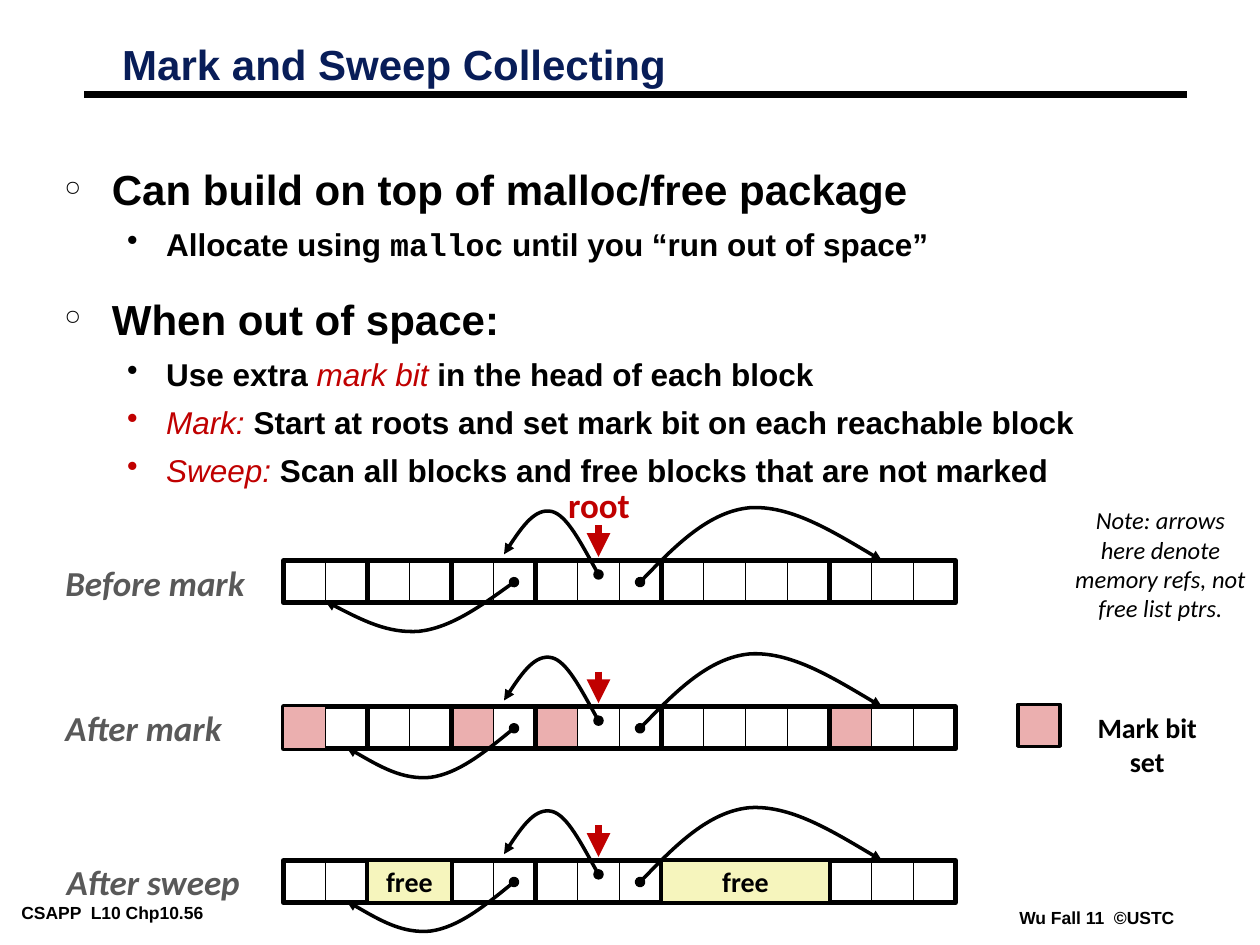
from itertools import accumulate

from pptx import Presentation
from pptx.dml.color import RGBColor
from pptx.enum import shapes as kinds, text as txt
from pptx.oxml import ns, xmlchemy
from pptx.util import Inches, Pt

BLACK, RED, GREY, NAVY = "000000", "C00000", "595959", "081D58"
PINK, YELLOW = "EBAFAF", "F6F5BD"
HEAP_LEFT, CELL = 2.25, 1 / 3
BLOCK_CELLS = [2, 2, 2, 3, 4, 3]
BLOCK_STARTS = [0, *accumulate(BLOCK_CELLS)][:-1]

ROOT_REF = [(4.75, 0.11), (4.62, -0.12), (4.5, -0.36), (4.38, -0.39),
            (4.25, -0.42), (4.12, -0.24), (4, -0.05)]
FORWARD_REF = [(5.08, 0.17), (5.35, -0.11), (5.63, -0.39), (5.95, -0.42),
               (6.27, -0.44), (6.63, -0.22), (7, 0)]
BACK_REF_START = 4.08
BACK_REF_DEPTHS = [0.17, 0.35, 0.53, 0.56, 0.58, 0.45, 0.32]

POINTS = [
    (0, BLACK, [("Can build on top of malloc/free package", "plain")]),
    (1, BLACK, [("Allocate using ", "plain"), ("malloc", "code"),
                (" until you “run out of space”", "plain")]),
    (0, BLACK, [("When out of space:", "plain")]),
    (1, BLACK, [("Use extra ", "plain"), ("mark bit ", "term"),
                ("in the head of each block", "plain")]),
    (1, RED, [("Mark:", "term"),
              (" Start at roots and set mark bit on each reachable block", "plain")]),
    (1, RED, [("Sweep:", "term"),
              (" Scan all blocks and free blocks that are not marked", "plain")]),
]


def rgb(value):
    return RGBColor.from_string(value)


def box(*lengths):
    return [Inches(length) for length in lengths]


def add_xml(parent, tag, **attributes):
    child = xmlchemy.OxmlElement(tag)
    for key, value in attributes.items():
        child.set(key, value)
    parent.append(child)
    return child


def style_run(run, size, color, font="Calibri", bold=True, italic=False):
    run.font.name = font
    run.font.size = Pt(size)
    run.font.bold = bold
    run.font.italic = italic
    run.font.color.rgb = rgb(color)


def add_label(shapes, place, words, size, color, wrap=False, align=None,
              margins=(0.1, 0.05), **style):
    label = shapes.add_textbox(*box(*place))
    frame = label.text_frame
    frame.text = words
    frame.word_wrap = wrap
    frame.auto_size = txt.MSO_AUTO_SIZE.SHAPE_TO_FIT_TEXT
    frame.margin_left = frame.margin_right = Inches(margins[0])
    frame.margin_top = frame.margin_bottom = Inches(margins[1])
    frame.paragraphs[0].alignment = align
    style_run(frame.paragraphs[0].runs[0], size, color, **style)


def add_rect(shapes, place, width, fill=None):
    rect = shapes.add_shape(kinds.MSO_SHAPE.RECTANGLE, *box(*place))
    rect.shadow.inherit = False
    if fill:
        rect.fill.solid()
        rect.fill.fore_color.rgb = rgb(fill)
    else:
        rect.fill.background()
    rect.line.color.rgb = rgb(BLACK)
    rect.line.width = Pt(width)
    return rect


def add_line(shapes, start, end, width, color=BLACK, arrow=False):
    line = shapes.add_connector(kinds.MSO_CONNECTOR.STRAIGHT, *box(*start, *end))
    line.line.color.rgb = rgb(color)
    line.line.width = Pt(width)
    if arrow:
        add_xml(line.line._get_or_add_ln(), "a:tailEnd", type="triangle")
    add_xml(line._element.spPr, "a:effectLst")
    return line


def add_reference(shapes, points):
    emu = [tuple(box(*point)) for point in points]
    builder = shapes.build_freeform(*emu[0])
    builder.add_line_segments(emu[1:], close=False)
    curve = builder.convert_to_shape()
    outline = curve._element.find(".//" + ns.qn("a:path"))
    segments = outline.findall(ns.qn("a:lnTo"))
    for first in range(0, len(segments), 3):
        bezier = add_xml(outline, "a:cubicBezTo")
        for segment in segments[first:first + 3]:
            bezier.append(segment[0])
            outline.remove(segment)
    curve.shadow.inherit = False
    curve.fill.background()
    curve.line.color.rgb = rgb(BLACK)
    curve.line.width = Pt(2)
    ln = curve.line._get_or_add_ln()
    add_xml(ln, "a:headEnd", type="oval")
    add_xml(ln, "a:tailEnd", type="triangle")


def cell_place(cell, top, count=1):
    return HEAP_LEFT + cell * CELL, top, count * CELL, CELL


def add_blocks(shapes, top):
    for first, count in zip(BLOCK_STARTS, BLOCK_CELLS):
        block = add_rect(shapes, cell_place(first, top, count), 3)
        for inner in range(1, count):
            x = HEAP_LEFT + (first + inner) * CELL
            divider = add_line(shapes, (x, top), (x, top + CELL), 0.5)
            if inner * 2 == count:
                divider.begin_connect(block, 0)
                divider.end_connect(block, 2)


def add_heap(slide, name, name_place, top, back_end, marked=(), free=()):
    shapes = slide.shapes.add_group_shape().shapes
    for block in marked[1:]:
        add_rect(shapes, cell_place(BLOCK_STARTS[block], top), 0.75, PINK)
    step = (back_end - BACK_REF_START) / 6
    back_ref = [(BACK_REF_START + i * step, depth)
                for i, depth in enumerate(BACK_REF_DEPTHS)]
    for reference in (ROOT_REF, FORWARD_REF, back_ref):
        add_reference(shapes, [(x, top + y) for x, y in reference])
    add_label(shapes, name_place, name, 20, GREY, italic=True)
    add_line(shapes, (4.75, top - 0.28), (4.75, top - 0.03), 4.5, RED, arrow=True)
    add_blocks(shapes, top)
    for block in marked[:1]:
        add_rect(shapes, cell_place(BLOCK_STARTS[block], top), 0.75, PINK)
    for block in free:
        place = cell_place(BLOCK_STARTS[block], top, BLOCK_CELLS[block])
        freed = add_rect(shapes, place, 2, YELLOW)
        frame = freed.text_frame
        frame.text = "free"
        frame.word_wrap = False
        frame.vertical_anchor = txt.MSO_ANCHOR.MIDDLE
        frame.paragraphs[0].alignment = txt.PP_ALIGN.CENTER
        style_run(frame.paragraphs[0].runs[0], 16, BLACK)
    return shapes


def add_title(slide, words):
    title = slide.shapes.title
    title.left, title.top, title.width, title.height = box(0.87, 0.31, 5.7, 0.45)
    frame = title.text_frame
    frame.text = words
    frame.vertical_anchor = txt.MSO_ANCHOR.MIDDLE
    frame.auto_size = txt.MSO_AUTO_SIZE.SHAPE_TO_FIT_TEXT
    heading = frame.paragraphs[0]
    heading.alignment = txt.PP_ALIGN.LEFT
    heading.line_spacing = 0.87
    properties = heading._p.get_or_add_pPr()
    properties.set("marL", str(Inches(0.13)))
    properties.set("indent", str(Inches(-0.13)))
    style_run(heading.runs[0], 24, NAVY, "Arial")


def add_points(slide):
    frame = slide.shapes.add_textbox(*box(0.41, 1.28, 9.09, 3.3)).text_frame
    frame.word_wrap = True
    levels = [(0.38, -0.38, 0.95, 19.5, "°", 24), (0.81, -0.31, 0.85, 9, "•", 18)]
    styles = {"plain": {"color": BLACK, "font": "Arial"},
              "code": {"color": BLACK, "font": "Courier New"},
              "term": {"color": RED, "font": "Arial", "bold": False, "italic": True}}
    for index, (level, bullet_color, pieces) in enumerate(POINTS):
        margin, indent, spacing, before, bullet, size = levels[level]
        point = frame.add_paragraph() if index else frame.paragraphs[0]
        point.level = level
        properties = point._p.get_or_add_pPr()
        properties.set("marL", str(Inches(margin)))
        properties.set("indent", str(Inches(indent)))
        add_xml(add_xml(properties, "a:buClr"), "a:srgbClr", val=bullet_color)
        add_xml(properties, "a:buChar", char=bullet)
        point.line_spacing = spacing
        if index:
            point.space_before = Pt(before)
        for words, style in pieces:
            run = point.add_run()
            run.text = words
            style_run(run, size, **styles[style])


def main():
    deck = Presentation()
    deck.slide_width, deck.slide_height = box(10, 7.5)
    slide = deck.slides.add_slide(deck.slide_layouts[5])
    center = txt.PP_ALIGN.CENTER

    for place, words in [((0.1, 7.13, 2.1, 0.22), "CSAPP  L10 Chp10.56"),
                         ((8.02, 7.17, 1.38, 0.22), "Wu Fall 11  ©USTC")]:
        add_label(slide.shapes, place, words, 10, BLACK, margins=(0.07, 0.03), font="Arial")
    add_line(slide.shapes, (0.67, 0.75), (9.42, 0.75), 4.5)
    add_title(slide, "Mark and Sweep Collecting")
    add_points(slide)

    marked = add_heap(slide, "After mark", (0.42, 5.56, 1.44, 0.44), 5.61, 2.75,
                      marked=(0, 2, 3, 5))
    add_rect(marked, (8.08, 5.59, CELL, CELL), 2, PINK)
    add_label(marked, (8.45, 5.59, 1.31, 0.37), "Mark bit set", 16, BLACK, align=center)

    add_heap(slide, "After sweep", (0.43, 6.78, 1.58, 0.44), 6.83, 2.75, free=(4, 1))

    before = add_heap(slide, "Before mark", (0.42, 4.41, 1.63, 0.44), 4.45, 2.58)
    add_label(before, (4.41, 3.79, 0.69, 0.44), "root", 20, RED)
    add_label(before, (8.42, 3.96, 1.58, 1.04),
              "Note: arrows here denote memory refs, not free list ptrs.",
              14, BLACK, wrap=True, align=center, bold=False, italic=True)
    deck.save("out.pptx")


if __name__ == "__main__":
    main()
